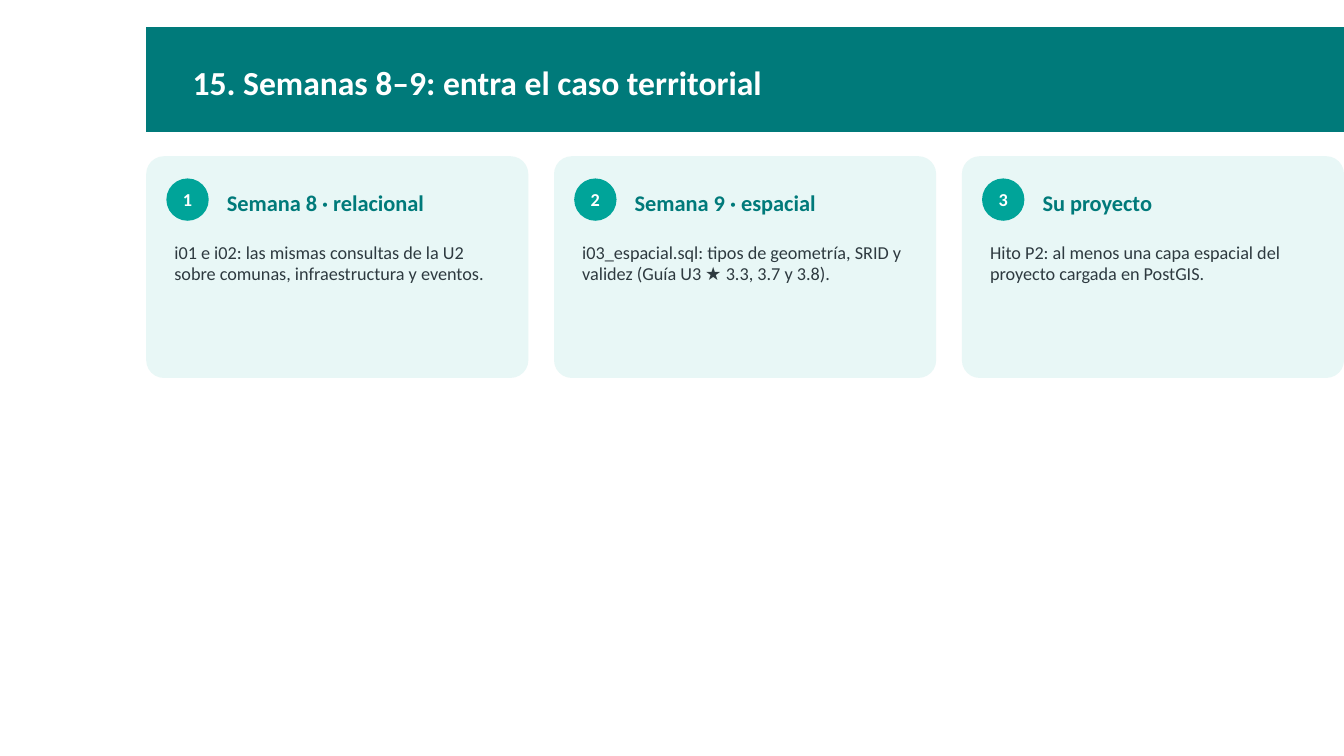
from pptx import Presentation
from pptx.dml.color import RGBColor
from pptx.enum import shapes, text
from pptx.util import Inches, Pt

TEAL, GREEN, MINT, WHITE, INK = "007A7A", "00A499", "E8F7F6", "FFFFFF", "2E3A40"
LEFT, CARD_WIDTH, CARD_STEP = 1.45, 3.79, 4.045
CARDS = [
    ("Semana 8 · relacional",
     "i01 e i02: las mismas consultas de la U2 sobre comunas, infraestructura y eventos."),
    ("Semana 9 · espacial",
     "i03_espacial.sql: tipos de geometría, SRID y validez (Guía U3 ★ 3.3, 3.7 y 3.8)."),
    ("Su proyecto",
     "Hito P2: al menos una capa espacial del proyecto cargada en PostGIS."),
]

presentation = Presentation()
presentation.slide_width, presentation.slide_height = Inches(13.33), Inches(7.5)
slide = presentation.slides.add_slide(presentation.slide_layouts[5])


def add_panel(kind, left, top, width, height, color):
    """Add a flat filled shape without outline."""
    shape = slide.shapes.add_shape(kind, Inches(left), Inches(top), Inches(width), Inches(height))
    shape.shadow.inherit = False
    shape.fill.solid()
    shape.fill.fore_color.rgb = RGBColor.from_string(color)
    shape.line.fill.background()
    return shape


def write(shape, content, size, color, bold=True, align=text.PP_ALIGN.LEFT,
          anchor=text.MSO_ANCHOR.MIDDLE, wrap=True):
    frame = shape.text_frame
    frame.text = content
    frame.word_wrap = wrap
    frame.auto_size = text.MSO_AUTO_SIZE.NONE
    frame.vertical_anchor = anchor
    frame.margin_left = frame.margin_right = Inches(0.08)
    frame.margin_top = frame.margin_bottom = Inches(0.04)
    paragraph = frame.paragraphs[0]
    paragraph.alignment = align
    paragraph.space_after = Pt(6)
    font = paragraph.runs[0].font
    font.name, font.size, font.bold = "Calibri", Pt(size), bold
    font.color.rgb = RGBColor.from_string(color)


# Title band, placed behind the title
band = add_panel(shapes.MSO_SHAPE.RECTANGLE, LEFT, 0.27, 11.88, 1.04, TEAL)
title = slide.shapes.title
title._element.addprevious(band._element)
title.left, title.top = Inches(1.83), Inches(0.38)
title.width, title.height = Inches(10.9), Inches(0.87)
write(title, "15. Semanas 8–9: entra el caso territorial", 24, WHITE)

# Numbered cards
for index, (heading, description) in enumerate(CARDS):
    left = LEFT + index * CARD_STEP
    card = add_panel(shapes.MSO_SHAPE.ROUNDED_RECTANGLE, left, 1.55, CARD_WIDTH, 2.2, MINT)
    card.adjustments[0] = 0.08

    badge = add_panel(shapes.MSO_SHAPE.OVAL, left + 0.2, 1.77, 0.42, 0.42, GREEN)
    write(badge, str(index + 1), 13, WHITE, align=text.PP_ALIGN.CENTER, wrap=False)

    heading_box = slide.shapes.add_textbox(
        Inches(left + 0.72), Inches(1.73), Inches(2.89), Inches(0.55))
    write(heading_box, heading, 16, TEAL)

    description_box = slide.shapes.add_textbox(
        Inches(left + 0.2), Inches(2.35), Inches(3.39), Inches(1.3))
    write(description_box, description, 13, INK, bold=False, anchor=text.MSO_ANCHOR.TOP)

presentation.save("out.pptx")
